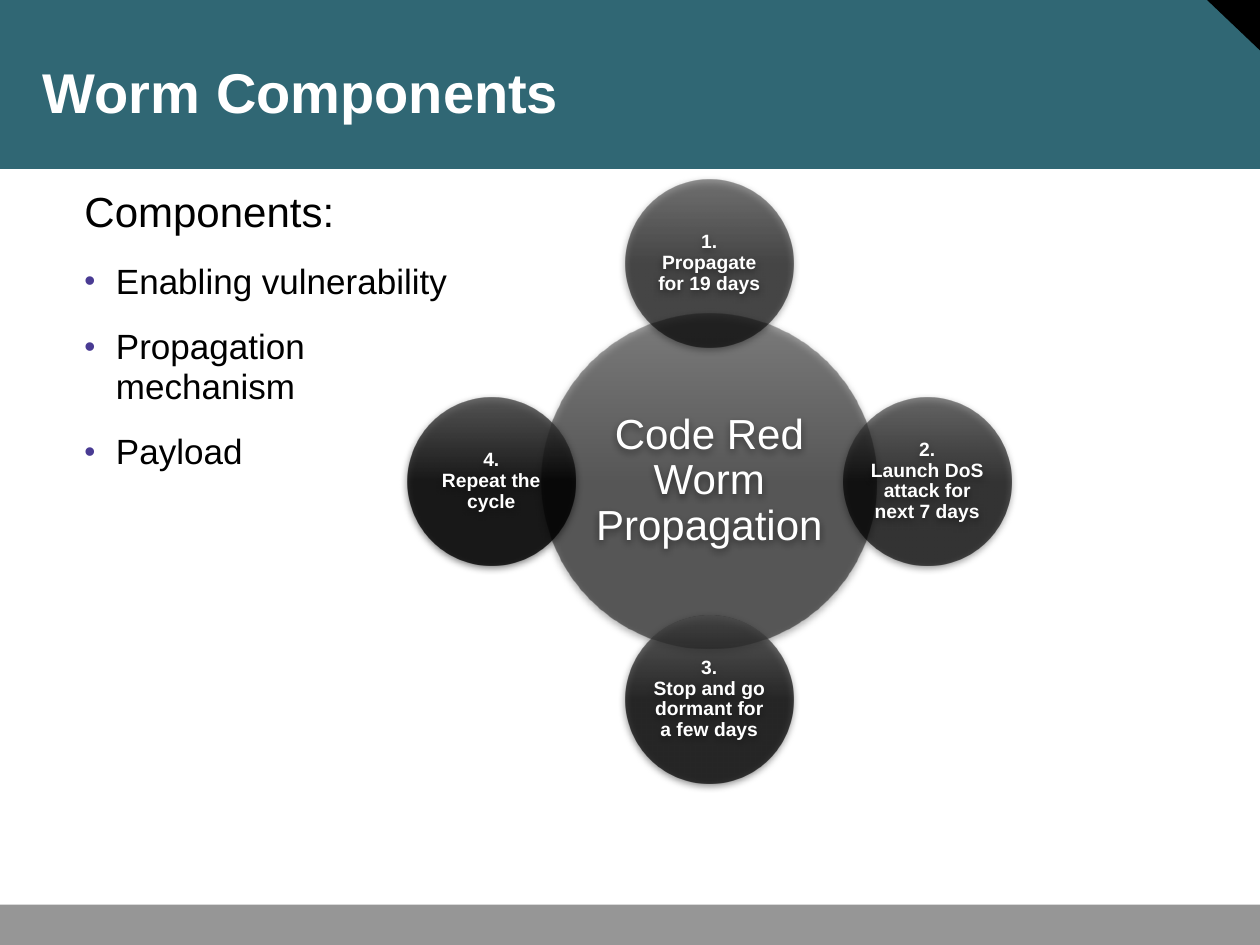
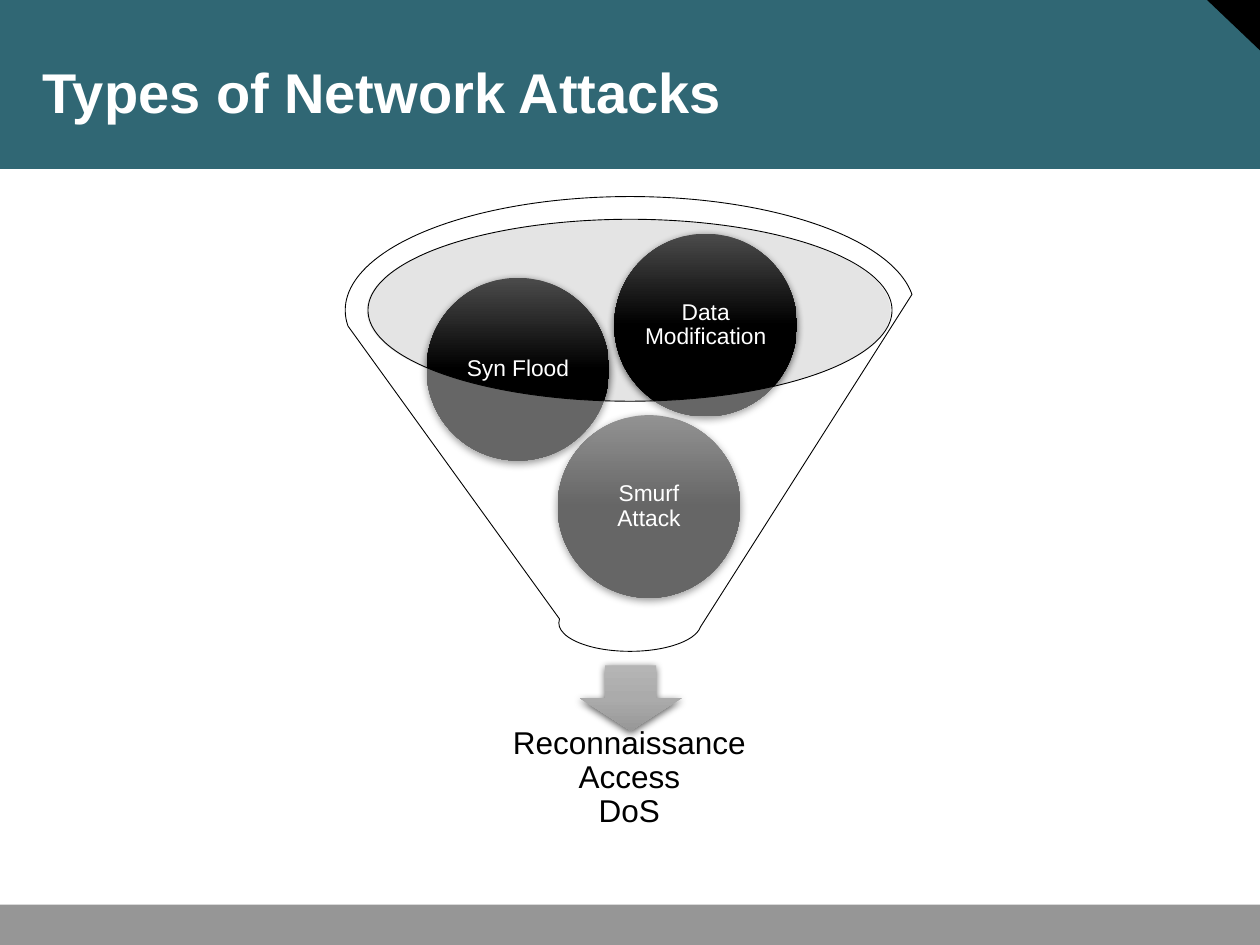
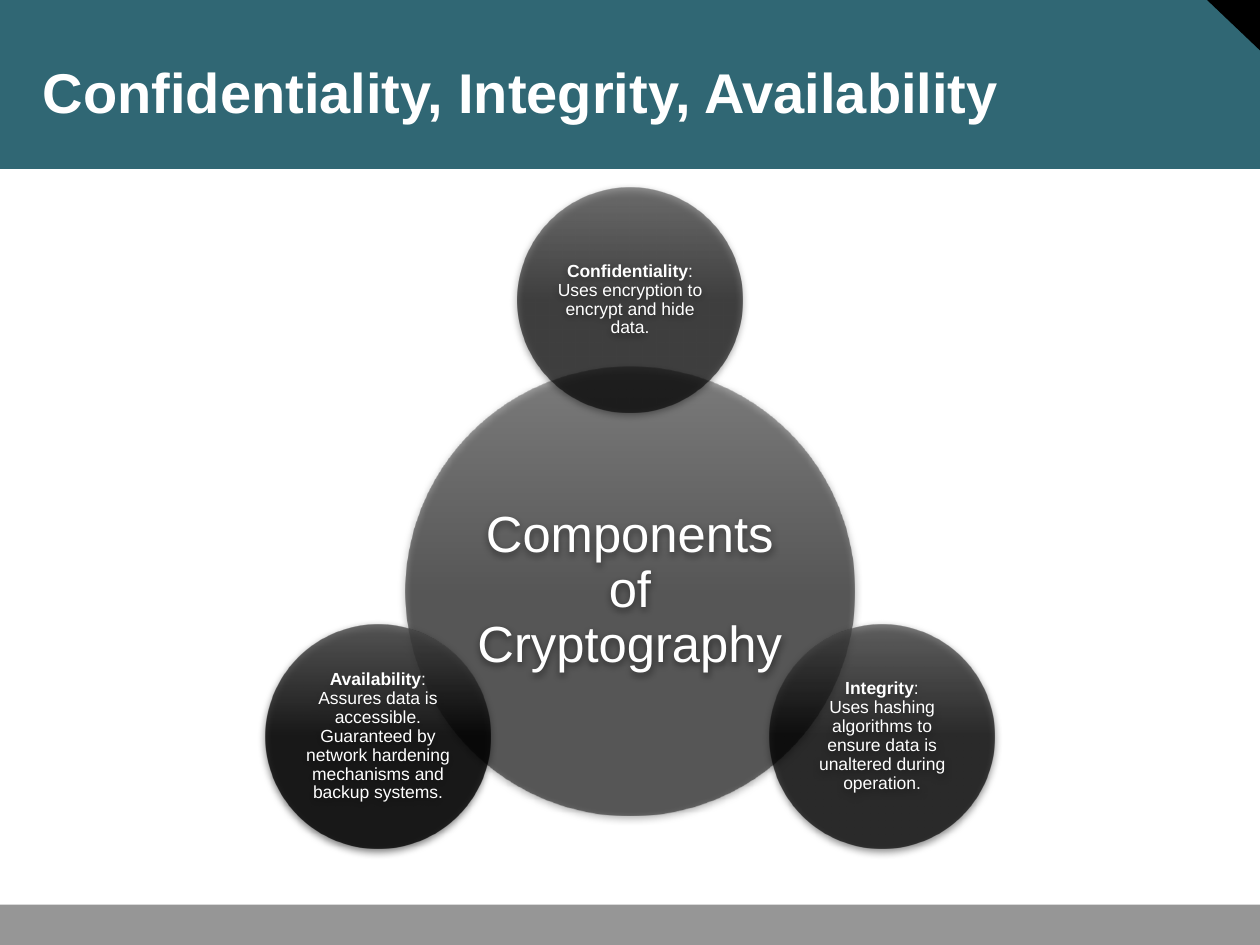
"""Build three slides on worms, network attacks and cryptography."""
import copy
import math

from pptx import Presentation, oxml
from pptx import util as u
from pptx.dml import color
from pptx.enum import shapes, text
from pptx.oxml import ns

COLOURS = {
    "band": "306774",
    "footer": "969696",
    "black": "000000",
    "white": "FFFFFF",
    "charcoal": "4B4B4B",
    "mouth": "BDBDBD",
    "bullet": "493B93",
}
FONT = "Arial"
ARROW_GREYS = ("B5B5B5", "ABABAB", "989898")
CIRCLE_GREYS = (COLOURS["charcoal"], COLOURS["black"], COLOURS["black"])
SHAPE = shapes.MSO_SHAPE


def rgb(name):
    """Return a palette colour."""
    return color.RGBColor.from_string(COLOURS[name])


def element(markup):
    """Turn drawing markup into an element."""
    head, mark, tail = markup.partition(">")
    if head.endswith("/"):
        head, mark = head[:-1], "/>"
    return oxml.parse_xml(f"{head} {ns.nsdecls('a')}{mark}{tail}")


def style_font(span, size, colour, bold=False):
    """Format one run."""
    span.font.name = FONT
    span.font.size = u.Pt(size)
    span.font.bold = bold
    span.font.color.rgb = rgb(colour)


def set_frame(frame, anchor, side, end):
    """Set wrapping, anchor and insets of a text frame."""
    frame.word_wrap = True
    frame.auto_size = text.MSO_AUTO_SIZE.NONE
    frame.vertical_anchor = anchor
    frame.margin_left = frame.margin_right = u.Inches(side)
    frame.margin_top = frame.margin_bottom = u.Inches(end)


def place(box, left, top, width, height):
    """Move and size a shape, in inches."""
    box.left, box.top = u.Inches(left), u.Inches(top)
    box.width, box.height = u.Inches(width), u.Inches(height)


def add_preset(page, kind, bounds, fill=None, opacity=100):
    """Add a plain preset shape without line or shadow."""
    box = page.shapes.add_shape(kind, *map(u.Inches, bounds))
    box.shadow.inherit = False
    box.line.fill.background()
    if fill:
        box.fill.solid()
        box.fill.fore_color.rgb = rgb(fill)
        if opacity < 100:
            tone = box.element.spPr.find(".//" + ns.qn("a:srgbClr"))
            tone.append(element(f'<a:alpha val="{opacity * 1000}"/>'))
    return box


def add_shaded(page, kind, bounds, greys, opacity=100):
    """Add a preset shape with a downward gradient and a soft shadow."""
    box = add_preset(page, kind, bounds)
    stops = "".join(
        f'<a:gs pos="{place_at}"><a:srgbClr val="{grey}">'
        f'<a:alpha val="{round(opacity * 1000)}"/></a:srgbClr></a:gs>'
        for place_at, grey in zip((0, 50000, 100000), greys))
    properties = box.element.spPr
    properties.find(ns.qn("a:prstGeom")).addnext(element(
        f'<a:gradFill rotWithShape="1"><a:gsLst>{stops}</a:gsLst>'
        '<a:lin ang="5400000" scaled="0"/></a:gradFill>'))
    properties.find(ns.qn("a:effectLst")).append(element(
        '<a:outerShdw blurRad="57150" dist="19050" dir="5400000" '
        'algn="ctr" rotWithShape="0"><a:srgbClr val="000000">'
        '<a:alpha val="63000"/></a:srgbClr></a:outerShdw>'))
    return box


def write_centred(box, spans, size, colour="white", inset=0.02):
    """Write (words, bold) spans as one centred paragraph."""
    set_frame(box.text_frame, text.MSO_ANCHOR.MIDDLE, inset, inset)
    para = box.text_frame.paragraphs[0]
    para.alignment = text.PP_ALIGN.CENTER
    para.line_spacing = 0.9
    for words, bold in spans:
        for number, line in enumerate(words.split("\n")):
            if number:
                para.add_line_break()
            span = para.add_run()
            span.text = line
            style_font(span, size, colour, bold)
    look = para.runs[0].font
    for line_end in para._p.findall(ns.qn("a:br")):
        line_end.append(copy.deepcopy(look._element))


def add_circle(page, centre, diameter, spans, size, opacity=100, inset=0.02):
    """Add a dark labelled circle around a centre."""
    left, top = (value - diameter / 2 for value in centre)
    box = add_shaded(page, SHAPE.OVAL, (left, top, diameter, diameter),
                     CIRCLE_GREYS, opacity)
    write_centred(box, spans, size, inset=inset)


def add_radial(page, centre, diameter, orbit, hub, hub_size, labels, size, inset):
    """Add a hub with half-size satellites, clockwise from the top."""
    add_circle(page, centre, diameter, [(hub, False)], hub_size, 50, 0.03)
    for number, spans in enumerate(labels):
        angle = math.tau * number / len(labels)
        middle = (centre[0] + orbit * math.sin(angle),
                  centre[1] - orbit * math.cos(angle))
        opacity = 50 + 30 * (number + 1) / len(labels)
        add_circle(page, middle, diameter / 2, spans, size, opacity, inset)


def add_page(deck, layout, words, width=9.39):
    """Add a slide and format its title."""
    page = deck.slides.add_slide(deck.slide_layouts[layout])
    title = page.shapes.title
    place(title, 0.25, 0.11, width, 0.92)
    title.text_frame.text = words
    set_frame(title.text_frame, text.MSO_ANCHOR.BOTTOM, 0.09, 0.04)
    para = title.text_frame.paragraphs[0]
    para.alignment = text.PP_ALIGN.LEFT
    style_font(para.runs[0], 32, "white", True)
    return page


def dress_master(deck, page):
    """Draw the shared bands and move them to the back of the master."""
    corner = add_preset(page, SHAPE.RIGHT_TRIANGLE, (9.58, 0, 0.42, 0.4), "black")
    corner.rotation = 180
    bands = [
        add_preset(page, SHAPE.RECTANGLE, (0, 0, 10, 1.34), "band"),
        corner,
        add_preset(page, SHAPE.RECTANGLE, (0, 7.18, 10, 0.32), "footer"),
    ]
    tree = deck.slide_master.shapes.element
    for number, band in enumerate(bands):
        band.element.nvSpPr.cNvPr.set("id", str(100 + number))
        tree.insert(2 + number, band.element)


def fill_list(body, heading, items):
    """Write a heading and bulleted items in the body placeholder."""
    place(body, 0.57, 1.45, 3.23, 1.98)
    frame = body.text_frame
    set_frame(frame, text.MSO_ANCHOR.TOP, 0.1, 0.05)
    frame.text = "\n".join([heading, *items])
    for number, para in enumerate(frame.paragraphs):
        properties = para._p.get_or_add_pPr()
        indent = u.Inches(0.25) if number else 0
        properties.set("marL", str(indent))
        properties.set("indent", str(-indent))
        marks = ['<a:buNone/>']
        if number:
            marks = [
                f'<a:buClr><a:srgbClr val="{COLOURS["bullet"]}"/></a:buClr>',
                '<a:buSzPct val="90000"/>',
                f'<a:buFont typeface="{FONT}"/>',
                '<a:buChar char="•"/>',
            ]
        for mark in marks:
            properties.append(element(mark))
        para.line_spacing = 0.95
        para.space_before = u.Pt(14.4 if number else 0)
        style_font(para.runs[0], 20 if number else 24, "black")


def add_worm_page(deck):
    """Build the worm slide."""
    page = add_page(deck, 1, "Worm Components")
    dress_master(deck, page)
    steps = ["Propagate for 19 days", "Launch DoS attack for next 7 days",
             "Stop and go dormant for a few days", "Repeat the cycle"]
    labels = [[(f"{number}.\n{step}", True)]
              for number, step in enumerate(steps, 1)]
    add_radial(page, (5.63, 3.82), 2.66, 1.73, "Code Red Worm Propagation", 24,
               labels, 11, 0.02)
    fill_list(page.placeholders[1], "Components:",
              ["Enabling vulnerability", "Propagation mechanism", "Payload"])


def add_attack_page(deck):
    """Build the funnel slide."""
    page = add_page(deck, 5, "Types of Network Attacks")
    add_preset(page, SHAPE.OVAL, (2.91, 1.74, 4.16, 1.45), "mouth", 40)
    add_shaded(page, SHAPE.DOWN_ARROW, (4.6, 5.28, 0.81, 0.52), ARROW_GREYS)
    outcome = page.shapes.add_textbox(*map(u.Inches, (3.06, 5.69, 3.87, 0.97)))
    write_centred(outcome, [("Reconnaissance\nAccess\nDoS", False)], 18,
                  "black", 0.14)
    attacks = [("Smurf Attack", (5.15, 4.02)), ("Syn Flood", (4.11, 2.93)),
               ("Data Modification", (5.6, 2.58))]
    for words, centre in attacks:
        add_circle(page, centre, 1.45, [(words, False)], 13)
    funnel = add_preset(page, SHAPE.FUNNEL, (2.74, 1.56, 4.52, 3.61), "white", 40)
    funnel.line.color.rgb = rgb("black")
    funnel.line.width = u.Pt(0.5)


def add_cryptography_page(deck):
    """Build the cryptography slide."""
    page = add_page(deck, 5, "Confidentiality, Integrity, Availability", 9.67)
    goals = {
        "Confidentiality": "Uses encryption to encrypt and hide data.",
        "Integrity": "Uses hashing algorithms to ensure data is unaltered "
                     "during operation.",
        "Availability": "Assures data is accessible. Guaranteed by network "
                        "hardening mechanisms and backup systems.",
    }
    labels = [[(goal, True), (f":\n{words}", False)]
              for goal, words in goals.items()]
    add_radial(page, (5, 4.69), 3.56, 2.31, "Components of Cryptography", 29,
               labels, 10, 0.01)


def main():
    """Build and save the deck."""
    deck = Presentation()
    deck.slide_width, deck.slide_height = u.Inches(10), u.Inches(7.5)
    add_worm_page(deck)
    add_attack_page(deck)
    add_cryptography_page(deck)
    deck.save("out.pptx")


if __name__ == "__main__":
    main()
